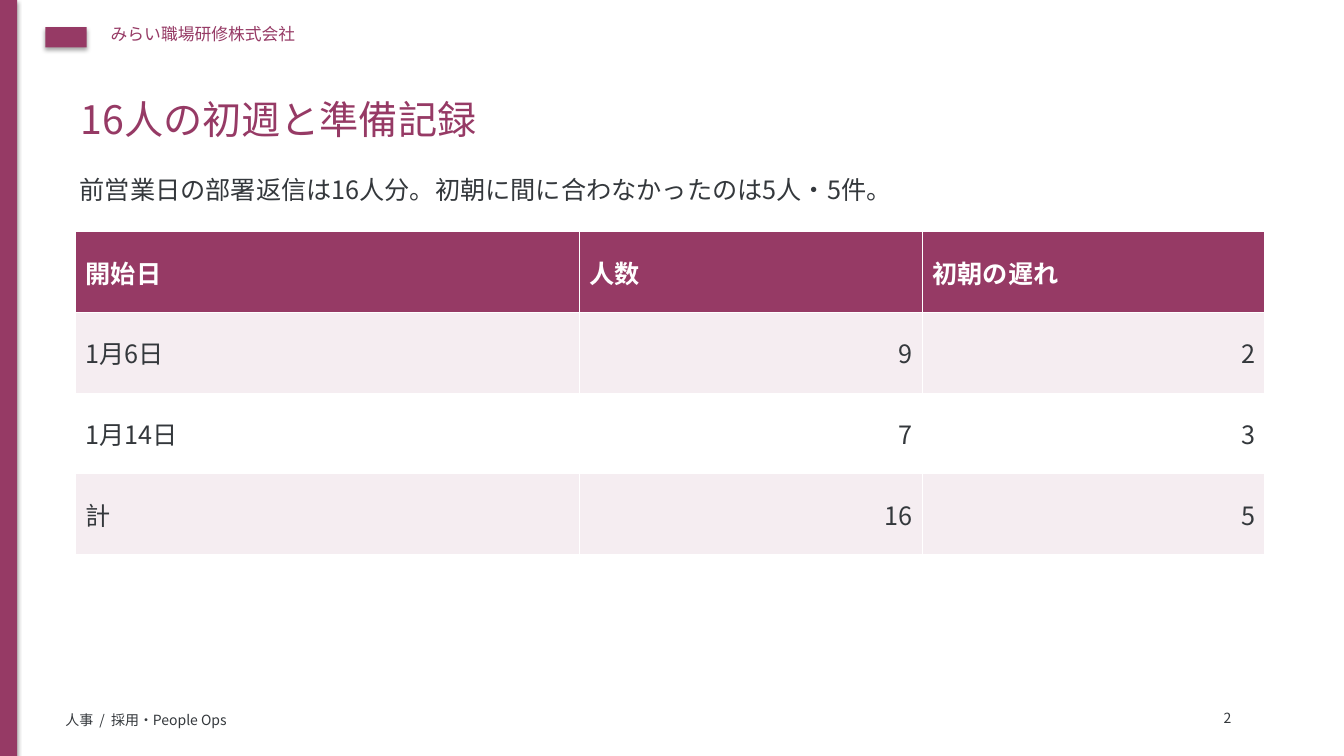
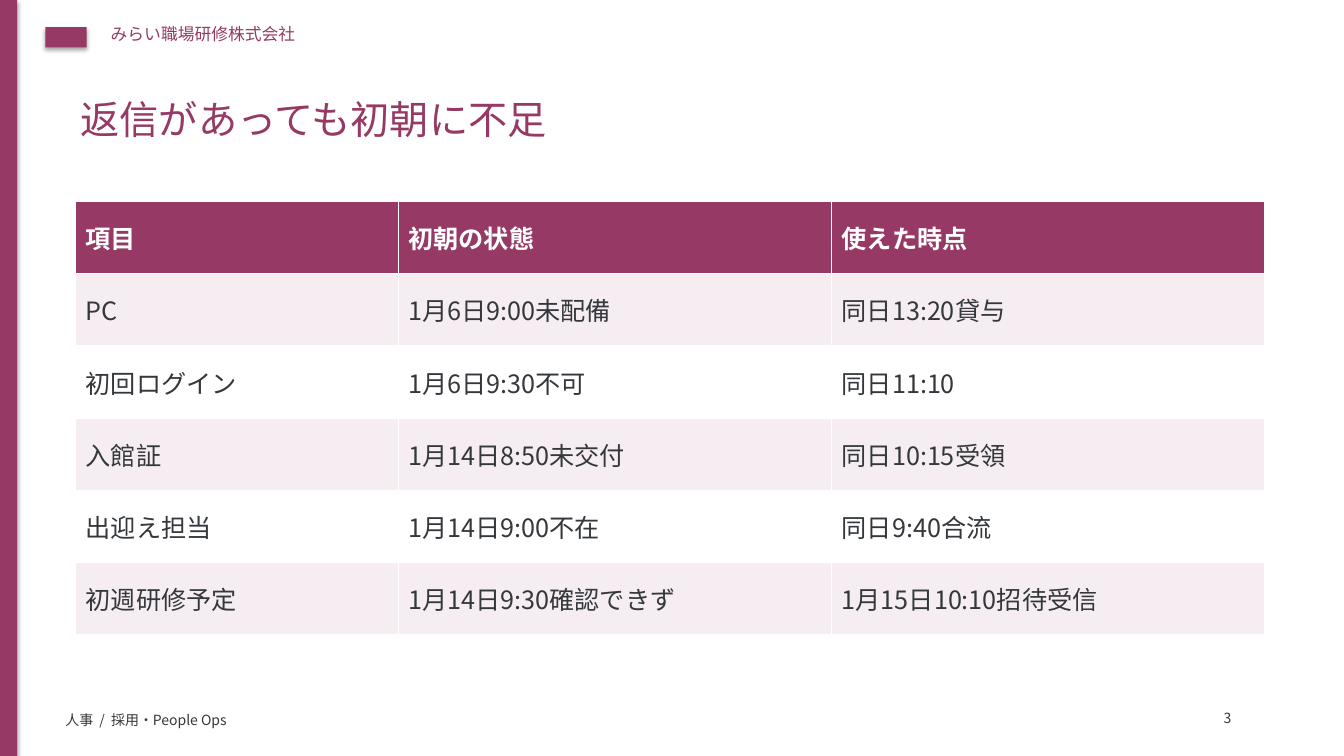
from dataclasses import dataclass

import lxml.etree
import pptx
import pptx.dml.color
import pptx.enum.shapes
import pptx.enum.text
import pptx.oxml.ns
import pptx.util

ALIGN = pptx.enum.text.PP_ALIGN
ANCHOR = pptx.enum.text.MSO_ANCHOR
RECT = pptx.enum.shapes.MSO_SHAPE.RECTANGLE


@dataclass(frozen=True)
class Theme:
    """Colours, type sizes and the grid shared by all slides."""
    plum: str = "963A65"
    ink: str = "34383C"
    white: str = "FFFFFF"
    tint: str = "F5EDF1"
    font: str = "Noto Sans CJK JP"
    title: int = 28
    body: int = 18
    brand: int = 12
    small: int = 10
    cell: float = 0.1
    columns: float = 133.33
    rows: float = 75
    left: float = 7.5
    width: float = 118


class Deck:
    """Holds the theme, the presentation and the current slide."""

    def __init__(self, theme):
        self.theme = theme
        self.prs = pptx.Presentation()
        self.prs.slide_width = self.grid(theme.columns)
        self.prs.slide_height = self.grid(theme.rows)
        self.s = None

    def grid(self, cells):
        """Turn a number of grid cells into a length."""
        return pptx.util.Inches(cells * self.theme.cell)

    def box(self, *cells):
        """Turn left, top, width and height in cells into lengths."""
        return [self.grid(c) for c in cells]

    def colour(self, code):
        """Turn a hex code into a colour."""
        return pptx.dml.color.RGBColor.from_string(code)

    def style(self, tf, size, colour, bold=False, align=ALIGN.LEFT):
        """Format every run of a text frame."""
        for p in tf.paragraphs:
            p.alignment = align
            for r in p.runs:
                r.font.size = pptx.util.Pt(size)
                r.font.bold = bold
                r.font.name = self.theme.font
                r.font.color.rgb = self.colour(colour)
                ea = lxml.etree.SubElement(r.font._element, pptx.oxml.ns.qn("a:ea"))
                ea.set("typeface", self.theme.font)

    def slide(self, title, number):
        """Start a slide with its title, band, header and footer."""
        t = self.theme
        self.s = self.prs.slides.add_slide(self.prs.slide_layouts[5])
        self.block(0, 0, 1.7, t.rows)
        self.block(4.5, 2.7, 4.1, 2)
        self.text("みらい職場研修株式会社", (10, 1.9, 80, 4), t.brand, t.plum)
        self.text("人事  /  採用・People Ops", (5.5, 70.1, 100, 3), t.small, t.ink)
        self.text(str(number), (121, 70.1, 5, 2.5), t.small, t.ink, tight=True)
        sp = self.s.shapes.title
        sp.left, sp.top, sp.width, sp.height = self.box(7, 9, t.width, 8.5)
        tf = sp.text_frame
        tf.text = title
        tf.vertical_anchor = ANCHOR.TOP
        self.style(tf, t.title, t.plum)

    def block(self, *cells):
        """Add a plum rectangle with the soft theme shadow."""
        sp = self.s.shapes.add_shape(RECT, *self.box(*cells))
        sp.fill.solid()
        sp.fill.fore_color.rgb = self.colour(self.theme.plum)
        sp.line.fill.background()

    def text(self, text, cells, size, colour, tight=False):
        """Add a text box, with narrow margins if tight."""
        tf = self.s.shapes.add_textbox(*self.box(*cells)).text_frame
        tf.word_wrap = True
        if tight:
            tf.margin_left = tf.margin_right = self.grid(0.4)
            tf.margin_top, tf.margin_bottom = self.box(0.3, 0.5)
        tf.text = text
        self.style(tf, size, colour)

    def lead(self, text):
        """Add the sentence below the title."""
        t = self.theme
        self.text(text, (t.left, 17, t.width, 4.5), t.body, t.ink, tight=True)

    def table(self, top, height, widths, data):
        """Add a striped table with numbers set to the right."""
        t = self.theme
        frame = self.s.shapes.add_table(
            len(data), len(widths), *self.box(t.left, top, t.width, height))
        table = frame.table
        for column, width in zip(table.columns, widths):
            column.width = self.grid(width)
        for i, row in enumerate(data):
            head = i == 0
            fill = t.plum if head else (t.white, t.tint)[i % 2]
            for j, value in enumerate(row):
                cell = table.cell(i, j)
                cell.fill.solid()
                cell.fill.fore_color.rgb = self.colour(fill)
                cell.vertical_anchor = ANCHOR.MIDDLE
                cell.text_frame.text = value
                self.style(cell.text_frame, t.body, t.white if head else t.ink, head,
                           ALIGN.RIGHT if value.isdigit() else ALIGN.LEFT)


def main():
    """Build and save the two slides."""
    deck = Deck(Theme())

    deck.slide("16人の初週と準備記録", 2)
    deck.lead("前営業日の部署返信は16人分。初朝に間に合わなかったのは5人・5件。")
    deck.table(23, 32, (50, 34, 34), [
        ("開始日", "人数", "初朝の遅れ"),
        ("1月6日", "9", "2"),
        ("1月14日", "7", "3"),
        ("計", "16", "5"),
    ])

    deck.slide("返信があっても初朝に不足", 3)
    deck.table(20, 43, (32, 43, 43), [
        ("項目", "初朝の状態", "使えた時点"),
        ("PC", "1月6日9:00未配備", "同日13:20貸与"),
        ("初回ログイン", "1月6日9:30不可", "同日11:10"),
        ("入館証", "1月14日8:50未交付", "同日10:15受領"),
        ("出迎え担当", "1月14日9:00不在", "同日9:40合流"),
        ("初週研修予定", "1月14日9:30確認できず", "1月15日10:10招待受信"),
    ])

    deck.prs.save("out.pptx")


if __name__ == "__main__":
    main()
